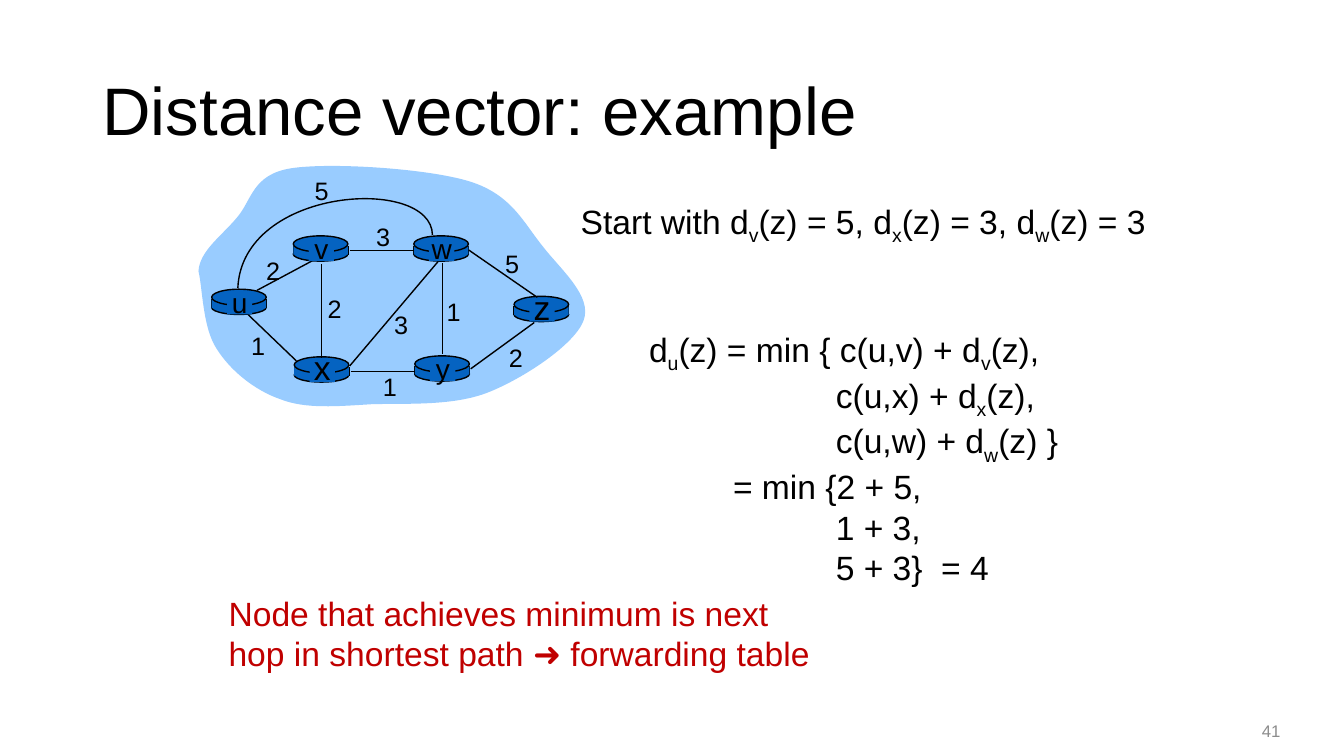
"""Builds the distance vector example slide with its router network."""
from pptx import Presentation
from pptx.dml.color import RGBColor
from pptx.enum.shapes import MSO_CONNECTOR as Connector, MSO_SHAPE as Shape
from pptx.enum.text import MSO_ANCHOR as Anchor, PP_ALIGN as Align
from pptx.oxml.ns import qn
from pptx.util import Pt
from lxml.etree import SubElement

BLACK = RGBColor(0x00, 0x00, 0x00)
GREY = RGBColor(0x8C, 0x8C, 0x8C)
RED = RGBColor(0xC0, 0x00, 0x00)
CLOUD_BLUE = RGBColor(0x99, 0xCC, 0xFF)
ROUTER_BLUE = RGBColor(0x05, 0x63, 0xC1)
FONT = "Arial"
ROUTER_WIDTH = 39

CLOUD_START = (141.8, 193.7)
CLOUD_CURVES = [
    ((142.6, 179.3), (158.4, 168.5), (169.2, 155.5)),
    ((180, 143.3), (180, 124.6), (208.1, 120.2)),
    ((235.4, 115.9), (305.3, 120.2), (335.5, 129.6)),
    ((365.8, 139), (374.4, 159.8), (388.1, 176.4)),
    ((401, 193), (423.4, 211.7), (416.9, 229)),
    ((410.4, 246.2), (374.4, 270), (349.2, 280.1)),
    ((324, 290.2), (290.9, 288), (265.7, 288.7)),
    ((241.2, 290.2), (218.2, 292.3), (200.2, 285.1)),
    ((181.4, 278.6), (164.2, 264.2), (154.8, 249.1)),
    ((144.7, 234), (144.7, 205.2), (141.8, 193.7)),
]
ARC_START = (308.9, 167.8)
ARC_CURVES = [((308.2, 125.3), (172.8, 133.2), (169.9, 205.9))]

ROUTERS = [
    ("u", 151.2, 206.6, 20),
    ("x", 210.2, 254.9, 24),
    ("v", 209.5, 168.5, 20),
    ("w", 295.6, 168.5, 20),
    ("y", 296.3, 254.2, 20),
    ("z", 367.2, 211.7, 24),
]
LINKS = [
    ((183.6, 207.4), (226.8, 184.3)),
    ((316.1, 187.9), (316.1, 252.7)),
    ((229.7, 188.6), (229.7, 255.6)),
    ((249.8, 261.4), (313.2, 186.5)),
    ((336.2, 263.5), (381.6, 230.4)),
    ((250.6, 265.4), (296.6, 265.4)),
    ((177.1, 224.6), (211.7, 257.8)),
    ((249.8, 178.9), (295.9, 178.9)),
    ((334.8, 178.6), (383.8, 212.4)),
]
COSTS = [
    ("2", 195.1, 193), ("2", 239, 220.3), ("1", 184.3, 247),
    ("3", 286.6, 231.8), ("1", 278.6, 275.8), ("1", 324, 222.5),
    ("2", 368.6, 255.6), ("5", 365.8, 187.9), ("3", 273.6, 169.2),
    ("5", 229.7, 136.1),
]
START_VALUES = [("Start with d_v(z) = 5, d_x(z) = 3, d_w(z) = 3", 0)]
EQUATION = [
    ("d_u(z) = min { c(u,v) + d_v(z),", 0),
    ("c(u,x) + d_x(z),", 133.4),
    ("c(u,w) + d_w(z) }", 133.4),
    ("= min {2 + 5,", 60),
    ("1 + 3,", 133.4),
    ("5 + 3}  = 4", 133.4),
]
CONCLUSION = [
    ("Node that achieves minimum is next", 0),
    ("hop in shortest path ➜ forwarding table", 0),
]


def format_run(run, size, color):
    """Give a run the slide font with a size and a colour."""
    run.font.name = FONT
    run.font.size = Pt(size)
    run.font.color.rgb = color


def add_label(slide, text, center_x, center_y, size, color=BLACK, width=25):
    """Add a short text centred on a point."""
    height = 1.2 * size + 7.2
    box = slide.shapes.add_textbox(Pt(center_x - width / 2), Pt(center_y - height / 2),
                                   Pt(width), Pt(height))
    frame = box.text_frame
    frame.word_wrap = True
    frame.vertical_anchor = Anchor.MIDDLE
    frame.margin_left = frame.margin_right = frame.margin_top = frame.margin_bottom = 0
    frame.text = text
    paragraph = frame.paragraphs[0]
    paragraph.alignment = Align.CENTER
    format_run(paragraph.runs[0], size, color)


def add_lines(slide, lines, left, top, width, height, color=BLACK):
    """Add indented lines, where an underscore lowers the next letter."""
    frame = slide.shapes.add_textbox(Pt(left), Pt(top), Pt(width), Pt(height)).text_frame
    frame.word_wrap = True
    for index, (text, indent) in enumerate(lines):
        paragraph = frame.add_paragraph() if index else frame.paragraphs[0]
        paragraph.alignment = Align.LEFT
        paragraph._p.get_or_add_pPr().set("marL", str(Pt(indent)))
        first, *rest = text.split("_")
        pieces = [(first, False)]
        for part in rest:
            pieces += [(part[0], True), (part[1:], False)]
        for piece, lowered in pieces:
            run = paragraph.add_run()
            run.text = piece
            format_run(run, 24, color)
            if lowered:
                run._r.get_or_add_rPr().set("baseline", "-25000")


def add_block(slide, kind, left, top, width, height, outlined=True):
    """Add one blue part of a router."""
    shape = slide.shapes.add_shape(kind, Pt(left), Pt(top), Pt(width), Pt(height))
    shape.shadow.inherit = False
    shape.fill.solid()
    shape.fill.fore_color.rgb = ROUTER_BLUE
    if outlined:
        shape.line.color.rgb = BLACK
        shape.line.width = Pt(1)
    else:
        shape.line.fill.background()


def add_link(slide, start, end):
    """Add a thin black line between two points."""
    line = slide.shapes.add_connector(Connector.STRAIGHT, *map(Pt, start + end))
    line.line.color.rgb = BLACK
    line.line.width = Pt(1)
    SubElement(line._element.spPr, qn("a:effectLst"))


def add_router(slide, left, top):
    """Add a router drawn as a flat cylinder."""
    add_block(slide, Shape.OVAL, left, top + 8, ROUTER_WIDTH, 10)
    for side in (left, left + ROUTER_WIDTH):
        add_link(slide, (side, top + 7.2), (side, top + 13.5))
    add_block(slide, Shape.RECTANGLE, left, top + 7.2, ROUTER_WIDTH, 6.3, outlined=False)
    add_block(slide, Shape.OVAL, left, top, ROUTER_WIDTH, 11.5)


def add_curve(slide, start, curves, close):
    """Add an outline of cubic curves, and return its shape."""
    builder = slide.shapes.build_freeform(*map(Pt, start), scale=1.0)
    points = [tuple(map(Pt, point)) for curve in curves for point in curve]
    builder.add_line_segments(points, close=close)
    shape = builder.convert_to_shape()
    shape.shadow.inherit = False
    segments = list(shape._element.iter(qn("a:lnTo")))
    for index in range(0, len(segments), 3):
        first, second, end = segments[index:index + 3]
        first.tag = qn("a:cubicBezTo")
        for segment in (second, end):
            first.append(segment[0])
            segment.getparent().remove(segment)
    return shape


def add_network(slide):
    """Add the cloud with its routers, links and costs."""
    cloud = add_curve(slide, CLOUD_START, CLOUD_CURVES, close=True)
    cloud.fill.solid()
    cloud.fill.fore_color.rgb = CLOUD_BLUE
    cloud.line.fill.background()
    add_link(slide, *LINKS[0])
    for _, left, top, _ in ROUTERS:
        add_router(slide, left, top)
    for start, end in LINKS[1:]:
        add_link(slide, start, end)
    arc = add_curve(slide, ARC_START, ARC_CURVES, close=False)
    arc.fill.background()
    arc.line.color.rgb = BLACK
    arc.line.width = Pt(1)
    for name, left, top, size in ROUTERS:
        add_block(slide, Shape.RECTANGLE, left + 11, top + 1.4, 18, 16.6, outlined=False)
        add_label(slide, name, left + 20, top + (9 if size == 20 else 7.5), size)
    for cost, center_x, center_y in COSTS:
        add_label(slide, cost, center_x, center_y, 18)


def add_title(slide, text):
    """Fill and place the title placeholder."""
    title = slide.shapes.title
    title.left, title.top, title.width, title.height = Pt(66), Pt(28.8), Pt(828), Pt(104.4)
    title.text_frame.text = text
    title.text_frame.vertical_anchor = Anchor.MIDDLE
    paragraph = title.text_frame.paragraphs[0]
    paragraph.alignment = Align.LEFT
    paragraph.line_spacing = 0.9
    format_run(paragraph.runs[0], 48, BLACK)


def main():
    """Build and save the slide."""
    presentation = Presentation()
    presentation.slide_width, presentation.slide_height = Pt(960), Pt(540)
    slide = presentation.slides.add_slide(presentation.slide_layouts[5])
    add_title(slide, "Distance vector: example")
    add_network(slide)
    add_lines(slide, START_VALUES, 407.7, 139.7, 425, 36)
    add_lines(slide, EQUATION, 456.5, 231.1, 310.3, 181.4)
    add_lines(slide, CONCLUSION, 156.2, 419.8, 437.8, 65.5, RED)
    add_label(slide, "41", 908, 522, 12, GREY, width=60.5)
    presentation.save("out.pptx")


if __name__ == "__main__":
    main()
